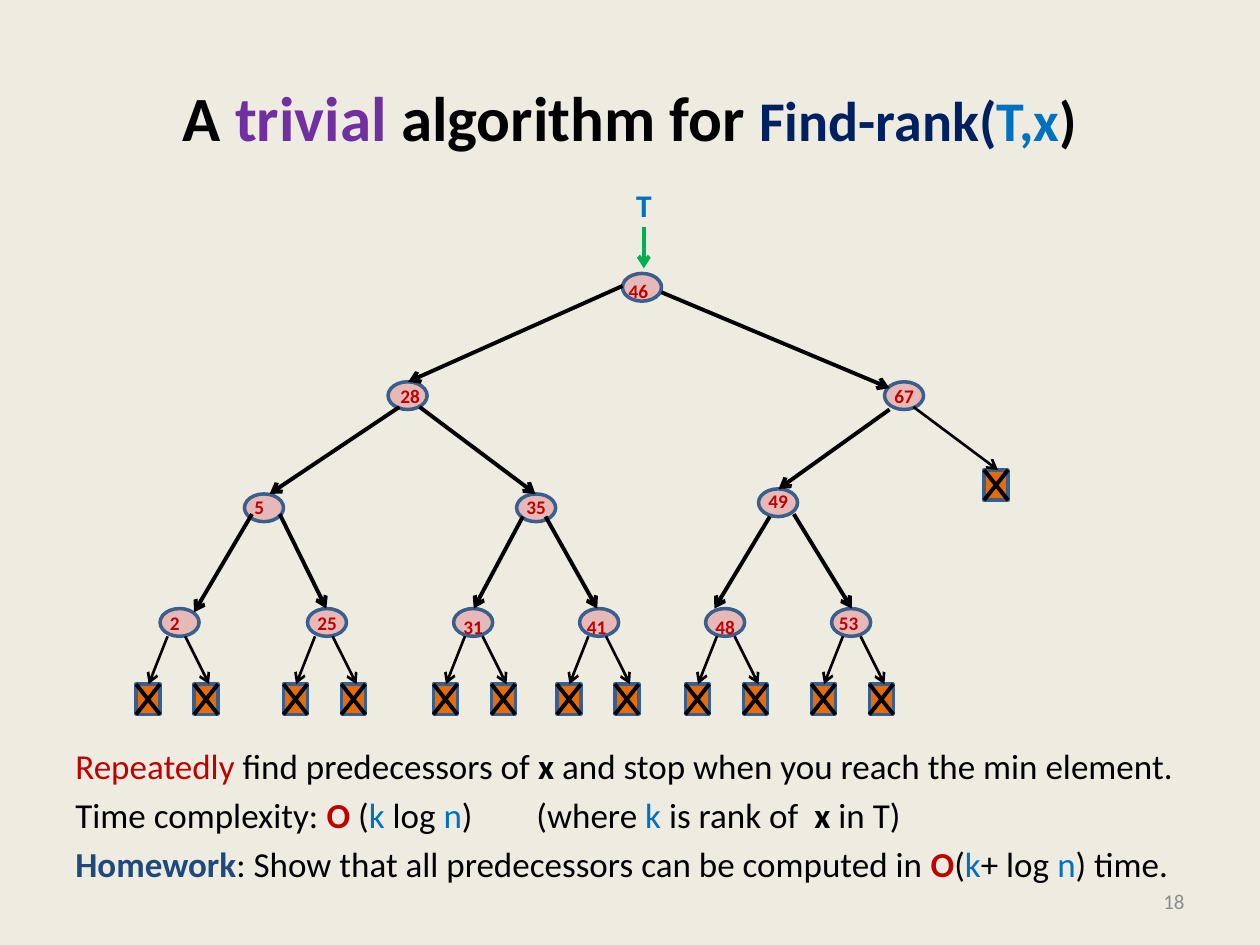
from dataclasses import dataclass

from lxml import etree
from pptx import Presentation
from pptx.dml.color import RGBColor
from pptx.enum.shapes import MSO_CONNECTOR, MSO_SHAPE
from pptx.enum.text import MSO_ANCHOR, PP_ALIGN
from pptx.oxml.ns import qn
from pptx.util import Inches, Pt

LEFT, CENTER, RIGHT = PP_ALIGN.LEFT, PP_ALIGN.CENTER, PP_ALIGN.RIGHT
TOP, MIDDLE = MSO_ANCHOR.TOP, MSO_ANCHOR.MIDDLE
OVAL, RECT = MSO_SHAPE.OVAL, MSO_SHAPE.RECTANGLE
STRAIGHT = MSO_CONNECTOR.STRAIGHT


@dataclass(frozen=True)
class Theme:
    font: str = "Calibri"
    background: str = "EEECE1"
    ink: str = "000000"
    purple: str = "7030A0"
    navy: str = "002060"
    blue: str = "0070C0"
    red: str = "C00000"
    homework: str = "1F497D"
    gray: str = "8C8C8C"
    green: str = "00B050"
    node: str = "E6B9B8"
    leaf: str = "E46C0A"
    outline: str = "3A5F8C"
    title: int = 36
    call: int = 32
    body: int = 20
    root: int = 18
    number: int = 12
    label: int = 11
    edge: float = 2.25
    leaf_edge: float = 1.5
    border: float = 2


T = Theme()
NODE_W, NODE_H = 0.31, 0.22
LEAF_W, LEAF_H, LEAF_STEP = 0.19, 0.24, 0.46
LEAF_TOP = 4.0

NODES = {
    "46": (3.94, 0.74, -0.05, 0),
    "28": (2.08, 1.6, 0, -0.03),
    "67": (6.02, 1.6, -0.02, -0.03),
    "5": (0.94, 2.49, -0.02, -0.04),
    "35": (3.1, 2.49, -0.02, -0.04),
    "49": (5.02, 2.45, -0.02, -0.05),
    "2": (0.27, 3.4, -0.02, -0.03),
    "25": (1.44, 3.4, -0.02, -0.03),
    "31": (2.6, 3.4, -0.02, 0),
    "41": (3.6, 3.4, -0.04, 0),
    "48": (4.6, 3.4, -0.02, 0),
    "53": (5.6, 3.4, -0.04, -0.03),
}
EDGES = [
    ("46", "28", 0, 0.1, 0.16, 0),
    ("46", "67", 0.31, 0.15, 0.04, 0.05),
    ("28", "5", 0.09, 0.2, 0.2, 0),
    ("28", "35", 0.25, 0.2, 0.15, 0),
    ("67", "49", 0.04, 0.22, 0.16, 0),
    ("5", "2", 0.06, 0.16, 0.27, 0.03),
    ("5", "25", 0.28, 0.16, 0.15, 0),
    ("35", "31", 0.05, 0.18, 0.16, 0),
    ("35", "41", 0.23, 0.18, 0.14, 0),
    ("49", "48", 0.09, 0.22, 0.07, 0),
    ("49", "53", 0.28, 0.2, 0.16, 0),
]
LEAF_PAIRS = [0.08, 1.25, 2.44, 3.42, 4.44, 5.44]

TITLE = [[
    ("A", {}), (" trivial ", {"color": T.purple}), ("algorithm for ", {}),
    ("Find-rank(", {"color": T.navy, "size": T.call}),
    ("T,x", {"color": T.blue, "size": T.call}), (")", {"size": T.call}),
]]
BIG_O = ("O", {"color": T.red, "bold": True})
K, N = ("k", {"color": T.blue}), ("n", {"color": T.blue})
BOLD_X = ("x", {"bold": True})
BODY = [
    [("Repeatedly", {"color": T.red}), (" find predecessors of ", {}), BOLD_X,
     (" and stop when you reach the min element.", {})],
    [("Time complexity: ", {}), BIG_O, (" (", {}), K, (" log ", {}), N,
     (")\t(where ", {}), K, (" is rank of  ", {}), BOLD_X, (" in T)", {})],
    [("Homework", {"color": T.homework, "bold": True}),
     (": Show that all predecessors can be computed in ", {}), BIG_O,
     ("(", {}), K, ("+ log ", {}), N, (") time.", {})],
]


def rgb(value):
    return RGBColor.from_string(value)


def text(s, box, paragraphs, size, color=T.ink, bold=False, align=LEFT,
         anchor=TOP, wrap=True, gap=0, tab=None):
    tf = s.shapes.add_textbox(*(Inches(v) for v in box)).text_frame
    tf.word_wrap = wrap
    tf.vertical_anchor = anchor
    for i, runs in enumerate(paragraphs):
        p = tf.paragraphs[0] if i == 0 else tf.add_paragraph()
        p.alignment = align
        p.space_before = Pt(gap if i else 0)
        if tab:
            tabs = etree.SubElement(p._p.get_or_add_pPr(), qn("a:tabLst"))
            etree.SubElement(tabs, qn("a:tab"), pos=str(Inches(tab)), algn="l")
        for words, style in runs:
            r = p.add_run()
            r.text = words
            r.font.name = T.font
            r.font.size = Pt(style.get("size", size))
            r.font.bold = style.get("bold", bold)
            r.font.color.rgb = rgb(style.get("color", color))


def line(s, x1, y1, x2, y2, width=T.edge, color=T.ink, arrow=True):
    c = s.shapes.add_connector(STRAIGHT, *(Inches(v) for v in (x1, y1, x2, y2)))
    c.line.color.rgb = rgb(color)
    c.line.width = Pt(width)
    if arrow:
        etree.SubElement(c.line._get_or_add_ln(), qn("a:tailEnd"), type="arrow")
    etree.SubElement(c._element.spPr, qn("a:effectLst"))


def shape(s, kind, box, fill):
    sp = s.shapes.add_shape(kind, *(Inches(v) for v in box))
    sp.shadow.inherit = False
    sp.fill.solid()
    sp.fill.fore_color.rgb = rgb(fill)
    sp.line.color.rgb = rgb(T.outline)
    sp.line.width = Pt(T.border)


def leaf(s, x, y, start_x, start_y, end_x):
    right, bottom = x + LEAF_W, y + LEAF_H
    shape(s, RECT, (x, y, LEAF_W, LEAF_H), T.leaf)
    line(s, right, y, x, bottom, arrow=False)
    line(s, x, y, right, bottom, arrow=False)
    line(s, start_x, start_y, x + end_x, y, width=T.leaf_edge)


def leaf_pair(s, x, y):
    start_y = y - 0.38
    leaf(s, x, y, x + 0.25, start_y, 0.1)
    leaf(s, x + LEAF_STEP, y, x + 0.39, start_y, 0.12)


def tree(s, left, top):
    for x, y, _, _ in NODES.values():
        shape(s, OVAL, (left + x, top + y, NODE_W, NODE_H), T.node)
    for parent, child, dx1, dy1, dx2, dy2 in EDGES:
        x1, y1 = NODES[parent][:2]
        x2, y2 = NODES[child][:2]
        line(s, left + x1 + dx1, top + y1 + dy1,
             left + x2 + dx2, top + y2 + dy2)
    text(s, (left + 3.95, top, 0.55, 0.4), [[("T", {})]], T.root,
         color=T.blue, bold=True)
    line(s, left + 4.11, top + 0.37, left + 4.11, top + 0.7, color=T.green)
    for key, (x, y, dx, dy) in NODES.items():
        width = 0.28 if len(key) == 1 else 0.36
        text(s, (left + x + dx, top + y + dy, width, 0.29), [[(key, {})]],
             T.label, color=T.red, bold=True, wrap=False)
    for x in LEAF_PAIRS:
        leaf_pair(s, left + x, top + LEAF_TOP)
    leaf(s, left + 6.81, top + 2.3, left + 6.25, top + 1.8, 0.11)


def title(s, box):
    text(s, box, TITLE, T.title, bold=True, align=CENTER, anchor=MIDDLE)


def explanation(s, box):
    text(s, box, BODY, T.body, gap=4, tab=3.66)


def slide_number(s, box):
    text(s, box, [[("18", {})]], T.number, color=T.gray, align=RIGHT,
         anchor=MIDDLE)


prs = Presentation()
prs.slide_width, prs.slide_height = Inches(10), Inches(7.5)
s = prs.slides.add_slide(prs.slide_layouts[6])
s.background.fill.solid()
s.background.fill.fore_color.rgb = rgb(T.background)
title(s, (0.5, 0.3, 9, 1.25))
explanation(s, (0.5, 5.86, 9, 1.31))
slide_number(s, (7.17, 6.95, 2.33, 0.4))
tree(s, 1, 1.43)
prs.save("out.pptx")
